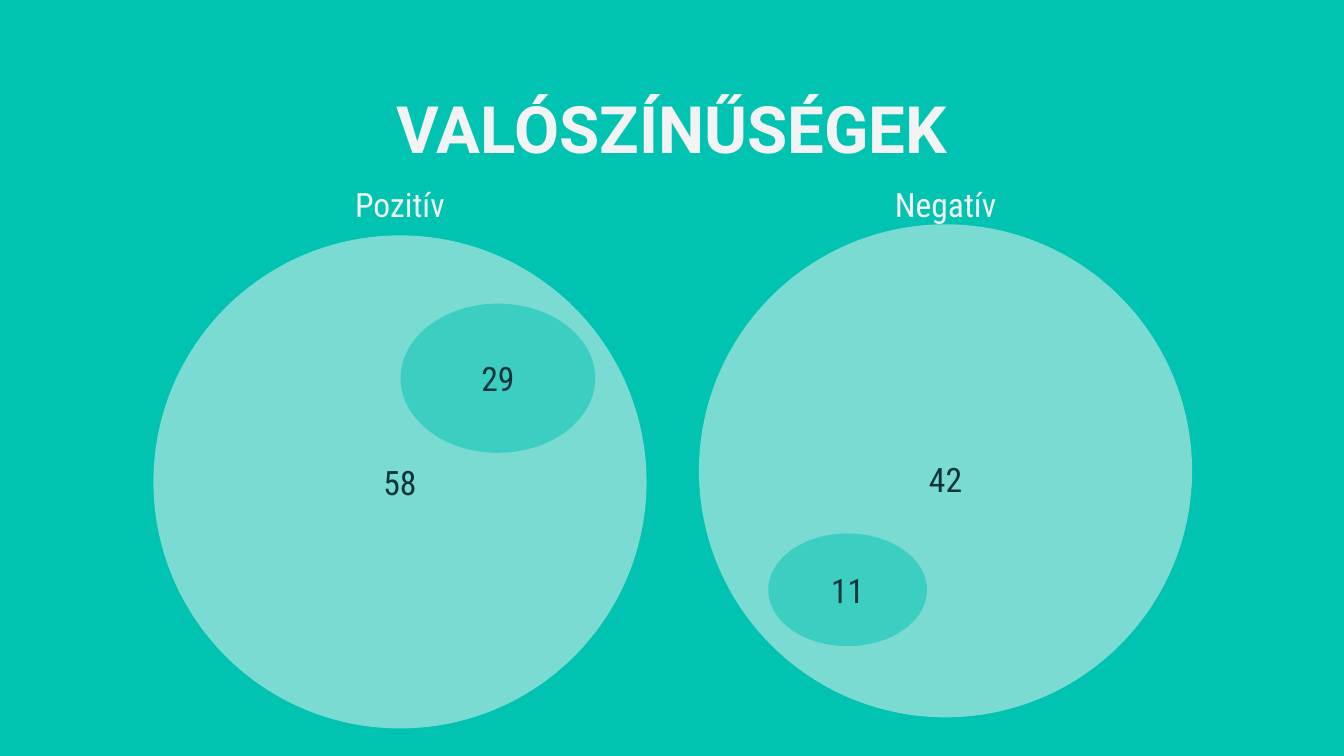
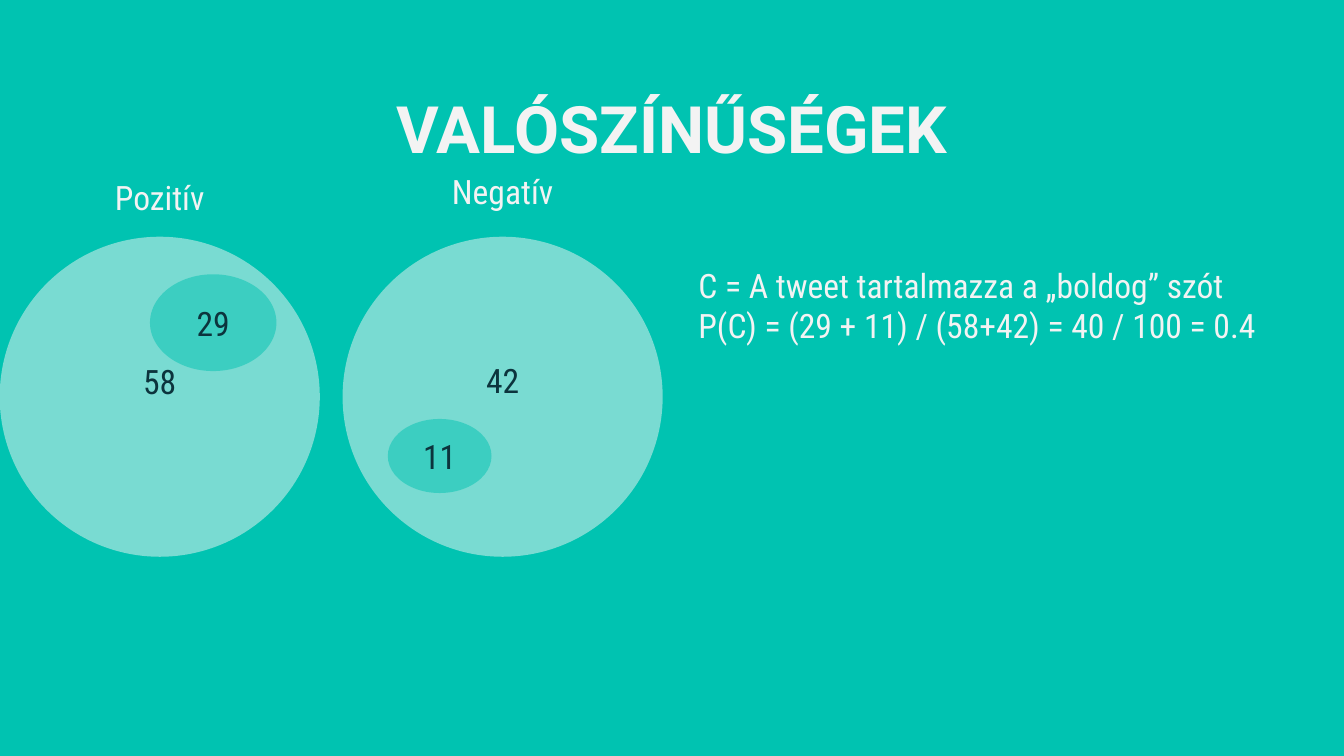
from dataclasses import dataclass

from lxml import etree
from pptx import Presentation
from pptx.dml.color import RGBColor
from pptx.enum.shapes import MSO_SHAPE
from pptx.enum.text import MSO_ANCHOR, PP_ALIGN
from pptx.oxml.ns import qn
from pptx.util import Cm, Pt

OVAL = MSO_SHAPE.OVAL
TOP, MIDDLE = MSO_ANCHOR.TOP, MSO_ANCHOR.MIDDLE
LEFT, CENTER = PP_ALIGN.LEFT, PP_ALIGN.CENTER


@dataclass(frozen=True)
class Theme:
    teal: RGBColor = RGBColor(0x00, 0xC3, 0xB1)
    light: RGBColor = RGBColor(0xF3, 0xF3, 0xF3)
    dark: RGBColor = RGBColor(0x0C, 0x34, 0x3D)
    title_font: str = "Roboto"
    body_font: str = "Roboto Condensed"
    title_size: int = 35
    body_size: int = 18
    opacity: int = 50
    inset: float = 0.25


@dataclass(frozen=True)
class TweetSet:
    """A class of tweets and the part holding the word; centres and sizes in cm."""
    label: str
    label_y: float
    label_width: float
    total: str
    total_y: float
    center: tuple
    subset: str
    subset_center: tuple
    subset_size: tuple


THEME = Theme()
SLIDE_SIZE = (25.4, 14.29)
TITLE = "VALÓSZÍNŰSÉGEK"
TITLE_BOX = (2.0, 1.42, 21.4, 1.6)
NOTES_BOX = (12.95, 4.75, 12.45, 7.85)

SLIDES = [
    {
        "diameter": 9.32,
        "number_size": (3.68, 1.75),
        "sets": [
            TweetSet("Pozitív", 3.85, 3.68, "58", 9.11, (7.56, 9.11),
                     "29", (9.41, 7.15), (3.68, 2.82)),
            TweetSet("Negatív", 3.85, 3.68, "42", 9.06, (17.87, 8.9),
                     "11", (16.02, 11.15), (3.0, 2.13)),
        ],
        "notes": [],
    },
    {
        "diameter": 6.05,
        "number_size": (2.39, 1.12),
        "sets": [
            TweetSet("Pozitív", 3.73, 2.39, "58", 7.21, (3.02, 7.5),
                     "29", (4.03, 6.1), (2.39, 1.83)),
            TweetSet("Negatív", 3.61, 2.82, "42", 7.19, (9.5, 7.5),
                     "11", (8.31, 8.62), (1.96, 1.4)),
        ],
        "notes": [
            "C = A tweet tartalmazza a „boldog” szót",
            "P(C) = (29 + 11) / (58+42) = 40 / 100 = 0.4",
        ],
    },
]


def centered(center, size):
    """Return left, top, width, height of a box around a centre."""
    return (center[0] - size[0] / 2, center[1] - size[1] / 2, *size)


def add_text(slide, box, lines, color, align=CENTER, anchor=MIDDLE,
             font=THEME.body_font, size=THEME.body_size, bold=False):
    frame = slide.shapes.add_textbox(*map(Cm, box)).text_frame
    frame.word_wrap = True
    frame.vertical_anchor = anchor
    frame.margin_left = frame.margin_right = Cm(THEME.inset)
    frame.margin_top = frame.margin_bottom = Cm(THEME.inset)
    frame.text = "\n".join(lines)
    for paragraph in frame.paragraphs:
        paragraph.alignment = align
        paragraph.font.name = font
        paragraph.font.size = Pt(size)
        paragraph.font.bold = bold
        paragraph.font.color.rgb = color


def add_ellipse(slide, center, size, color):
    """Add a half-transparent ellipse without outline."""
    shape = slide.shapes.add_shape(OVAL, *map(Cm, centered(center, size)))
    shape.shadow.inherit = False
    shape.line.fill.background()
    shape.fill.solid()
    shape.fill.fore_color.rgb = color
    color_element = shape.fill._xPr.find(qn("a:solidFill"))[0]
    alpha = etree.SubElement(color_element, qn("a:alpha"))
    alpha.set("val", str(THEME.opacity * 1000))


def add_diagram(slide, sets, diameter, number_size):
    for tweets in sets:
        add_ellipse(slide, tweets.center, (diameter, diameter), THEME.light)
    for tweets in sets:
        x = tweets.center[0]
        label_size = (tweets.label_width, number_size[1])
        add_text(slide, centered((x, tweets.label_y), label_size),
                 [tweets.label], THEME.light)
        add_text(slide, centered((x, tweets.total_y), number_size),
                 [tweets.total], THEME.dark)
        add_ellipse(slide, tweets.subset_center, tweets.subset_size, THEME.teal)
        add_text(slide, centered(tweets.subset_center, number_size),
                 [tweets.subset], THEME.dark)


def main():
    presentation = Presentation()
    presentation.slide_width, presentation.slide_height = map(Cm, SLIDE_SIZE)
    blank = presentation.slide_layouts[6]
    for content in SLIDES:
        slide = presentation.slides.add_slide(blank)
        slide.background.fill.solid()
        slide.background.fill.fore_color.rgb = THEME.teal
        add_text(slide, TITLE_BOX, [TITLE], THEME.light, anchor=TOP,
                 font=THEME.title_font, size=THEME.title_size, bold=True)
        add_diagram(slide, content["sets"], content["diameter"],
                    content["number_size"])
        if content["notes"]:
            add_text(slide, NOTES_BOX, content["notes"], THEME.light,
                     align=LEFT, anchor=TOP)
    presentation.save("out.pptx")


if __name__ == "__main__":
    main()
